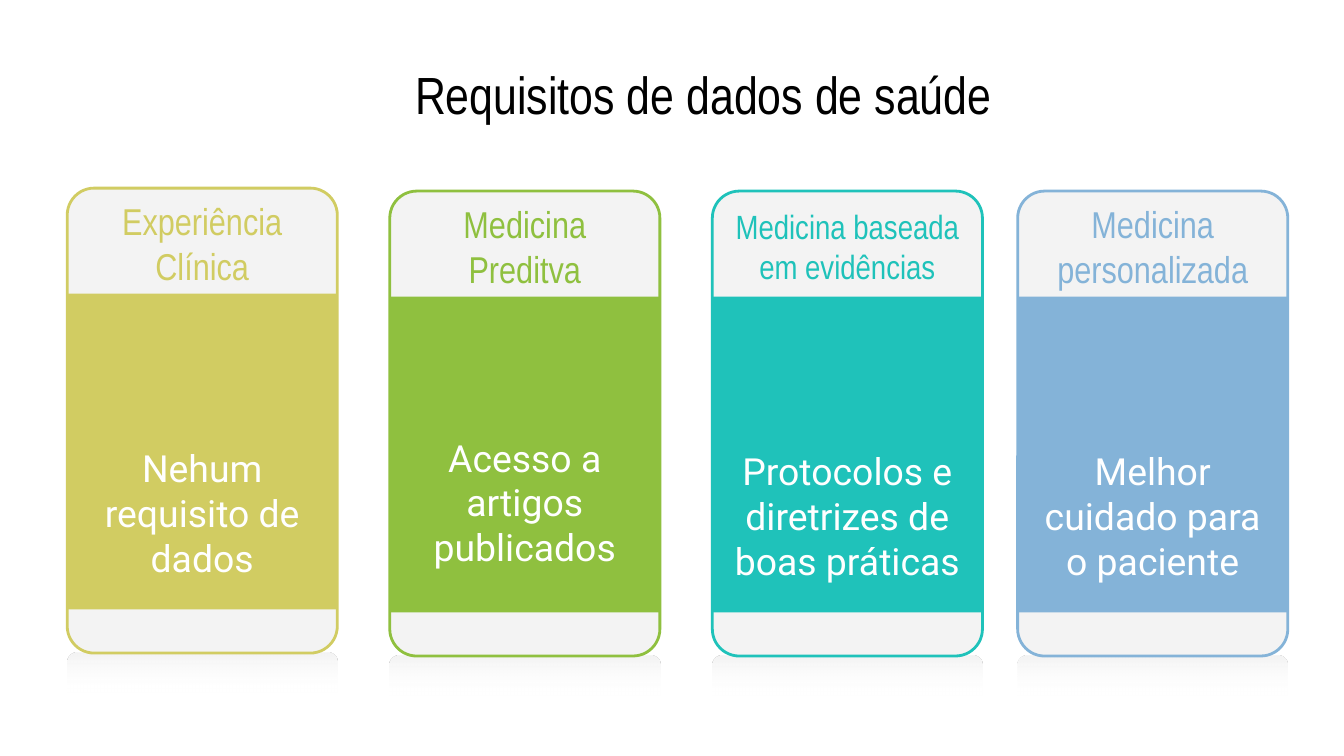
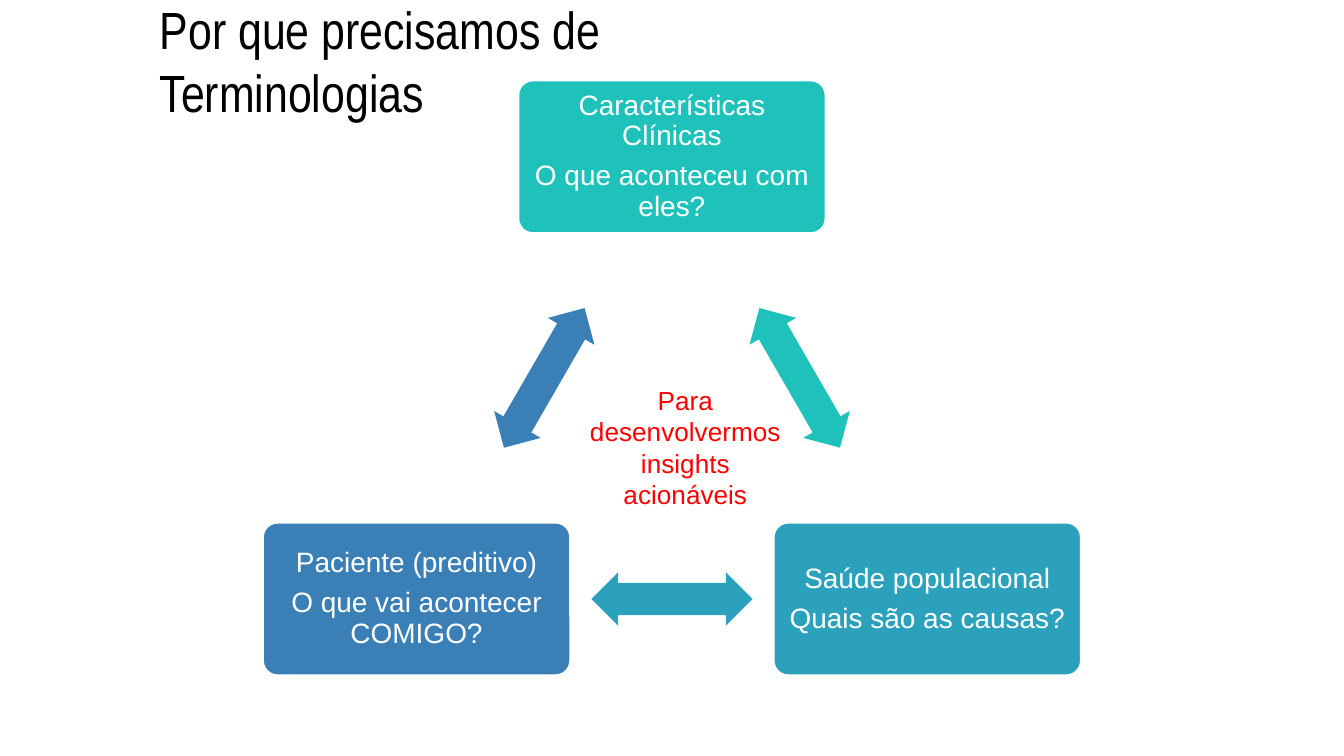
from pptx import Presentation
from pptx.dml.color import RGBColor
from pptx.enum.shapes import MSO_SHAPE
from pptx.enum.text import MSO_ANCHOR, MSO_AUTO_SIZE, PP_ALIGN
from pptx.oxml import parse_xml
from pptx.util import Pt

RECT, ROUNDED = MSO_SHAPE.RECTANGLE, MSO_SHAPE.ROUNDED_RECTANGLE
DOUBLE_ARROW = MSO_SHAPE.LEFT_RIGHT_ARROW
LEFT, CENTER = PP_ALIGN.LEFT, PP_ALIGN.CENTER
TOP, MIDDLE = MSO_ANCHOR.TOP, MSO_ANCHOR.MIDDLE

BLACK = RGBColor(0x00, 0x00, 0x00)
WHITE = RGBColor(0xFF, 0xFF, 0xFF)
RED = RGBColor(0xFF, 0x00, 0x00)
PALE = RGBColor(0xF3, 0xF3, 0xF3)
OLIVE = RGBColor(0xD1, 0xCC, 0x62)
GREEN = RGBColor(0x8F, 0xC0, 0x3F)
TEAL = RGBColor(0x1F, 0xC2, 0xBA)
SKY = RGBColor(0x84, 0xB3, 0xD8)
CYAN = RGBColor(0x2C, 0xA1, 0xBC)
BLUE = RGBColor(0x3A, 0x80, 0xB6)

NARROW, BODY, PLAIN = "Arial Narrow", "Roboto", "Arial"
DRAWING_NS = "http://schemas.openxmlformats.org/drawingml/2006/main"
# Stops of the reflection: position in percent, colour, opacity in percent
FADE_STOPS = [(0, PALE, 100), (40, WHITE, 0), (100, WHITE, 0)]


def write(shape, paragraphs, *, size, font, color, align=CENTER, anchor=MIDDLE,
          insets=(7.2, 3.6, 7.2, 3.6), line_spacing=None, gap=0):
    """Fill a shape with paragraphs; insets run left, top, right, bottom."""
    frame = shape.text_frame
    frame.word_wrap = True
    frame.vertical_anchor = anchor
    (frame.margin_left, frame.margin_top,
     frame.margin_right, frame.margin_bottom) = map(Pt, insets)
    for index, text in enumerate(paragraphs):
        paragraph = frame.paragraphs[0] if index == 0 else frame.add_paragraph()
        paragraph.alignment = align
        paragraph.line_spacing = line_spacing
        paragraph.space_before = Pt(gap if index else 0)
        run = paragraph.add_run()
        run.text = text
        run.font.size = Pt(size)
        run.font.name = font
        run.font.color.rgb = color
    return frame


class Deck:
    CARD_W, CARD_H, CARD_ROUNDING = 144.7, 249.1, 0.1
    NODE_W, NODE_H = 165.6, 82.8
    ARROW_W, ARROW_H = 86.4, 28.8

    def __init__(self):
        self.presentation = Presentation()
        self.presentation.slide_width = Pt(720)
        self.presentation.slide_height = Pt(405)
        self.slide = None

    def new_slide(self, title, left, top, width):
        self.slide = self.presentation.slides.add_slide(
            self.presentation.slide_layouts[6])
        self.text([title], left, top, width, 35.3, size=28, font=NARROW,
                  color=BLACK, align=LEFT, insets=(7.2,) * 4)

    def text(self, paragraphs, left, top, width, height, **style):
        box = self.slide.shapes.add_textbox(*map(Pt, (left, top, width, height)))
        return write(box, paragraphs, **style)

    def shape(self, kind, left, top, width, height, fill, line=None,
              line_width=1.5, adjustments=()):
        shape = self.slide.shapes.add_shape(
            kind, *map(Pt, (left, top, width, height)))
        shape.shadow.inherit = False
        for index, value in enumerate(adjustments):
            shape.adjustments[index] = value
        if fill is None:
            shape.fill.background()
        else:
            shape.fill.solid()
            shape.fill.fore_color.rgb = fill
        if line is None:
            shape.line.fill.background()
        else:
            shape.line.color.rgb = line
            shape.line.width = Pt(line_width)
        return shape

    def reflection(self, left, top):
        shape = self.shape(ROUNDED, left, top, self.CARD_W, 53.3, None,
                           adjustments=[self.CARD_ROUNDING])
        stops = "".join(
            f'<a:gs pos="{position * 1000}"><a:srgbClr val="{color}">'
            f'<a:alpha val="{opacity * 1000}"/></a:srgbClr></a:gs>'
            for position, color, opacity in FADE_STOPS)
        gradient = parse_xml(
            f'<a:gradFill xmlns:a="{DRAWING_NS}" rotWithShape="1">'
            f'<a:gsLst>{stops}</a:gsLst><a:lin ang="5400000" scaled="0"/>'
            '</a:gradFill>')
        properties = shape._element.spPr
        properties.replace(properties.find(f"{{{DRAWING_NS}}}noFill"), gradient)

    def card(self, left, top, color, heading, heading_size, message, lift):
        """Rounded card with a coloured band; lift raises the message."""
        self.reflection(left, top + self.CARD_H)
        self.shape(ROUNDED, left, top, self.CARD_W, self.CARD_H, PALE, color,
                   adjustments=[self.CARD_ROUNDING])
        self.shape(RECT, left, top + 56.5, self.CARD_W, 169.2, color)
        self.text(heading, left, top + 14.4, self.CARD_W, 30.2,
                  size=heading_size, font=NARROW, color=color)
        self.text([message], left, top + 127, self.CARD_W, 93.6, size=20,
                  font=BODY, color=WHITE, insets=(7.2, 3.6, 7.2, 3.6 + lift))

    def node(self, center, color, paragraphs):
        x, y = center
        box = self.shape(ROUNDED, x - self.NODE_W / 2, y - self.NODE_H / 2,
                         self.NODE_W, self.NODE_H, color, WHITE, 2, [0.1])
        write(box, paragraphs, size=15, font=PLAIN, color=WHITE,
              insets=(4.3,) * 4, line_spacing=0.9, gap=5.25)

    def arrow_between(self, start, end, color, rotation):
        x, y = ((a + b) / 2 for a, b in zip(start, end))
        arrow = self.shape(DOUBLE_ARROW, x - self.ARROW_W / 2,
                           y - self.ARROW_H / 2, self.ARROW_W, self.ARROW_H,
                           color, adjustments=[0.6, 0.5])
        arrow.rotation = rotation


def health_data_slide(deck):
    deck.new_slide("Requisitos de dados de saúde", 215.3, 32.4, 357.1)
    # Left, top, colour, heading, heading size, message, lift
    cards = [
        (36, 100.8, OLIVE, ["Experiência Clínica"], 20,
         "Nehum requisito de dados", 0),
        (208.8, 102.4, GREEN, ["Medicina Preditva"], 20,
         "Acesso a artigos publicados", 14.4),
        (381.6, 102.4, TEAL, ["Medicina baseada em evidências"], 18,
         "Protocolos e diretrizes de boas práticas", 0),
        (545.2, 102.4, SKY, ["Medicina", "personalizada"], 20,
         "Melhor cuidado para o paciente", 0),
    ]
    for card in cards:
        deck.card(*card)


def terminology_slide(deck):
    deck.new_slide("Por que precisamos de Terminologias", 78.5, 14.4, 271.4)
    # Triangle of topics, clockwise from the top
    topics = [
        ((360, 84), TEAL,
         ["Características Clínicas", "O que aconteceu com eles?"]),
        ((496.8, 320.9), CYAN, ["Saúde populacional", "Quais são as causas?"]),
        ((223.2, 320.9), BLUE,
         ["Paciente (preditivo)", "O que vai acontecer COMIGO?"]),
    ]
    for index, (center, color, paragraphs) in enumerate(topics):
        following = topics[(index + 1) % len(topics)][0]
        deck.node(center, color, paragraphs)
        deck.arrow_between(center, following, color, 60 + 120 * index)
    # Goal in the middle of the triangle
    goal = deck.text(["Para desenvolvermos insights acionáveis"],
                     306, 202.3, 122.4, 74.9, size=14, font=PLAIN, color=RED,
                     anchor=TOP)
    goal.auto_size = MSO_AUTO_SIZE.SHAPE_TO_FIT_TEXT


def main():
    deck = Deck()
    health_data_slide(deck)
    terminology_slide(deck)
    deck.presentation.save("out.pptx")


if __name__ == "__main__":
    main()
